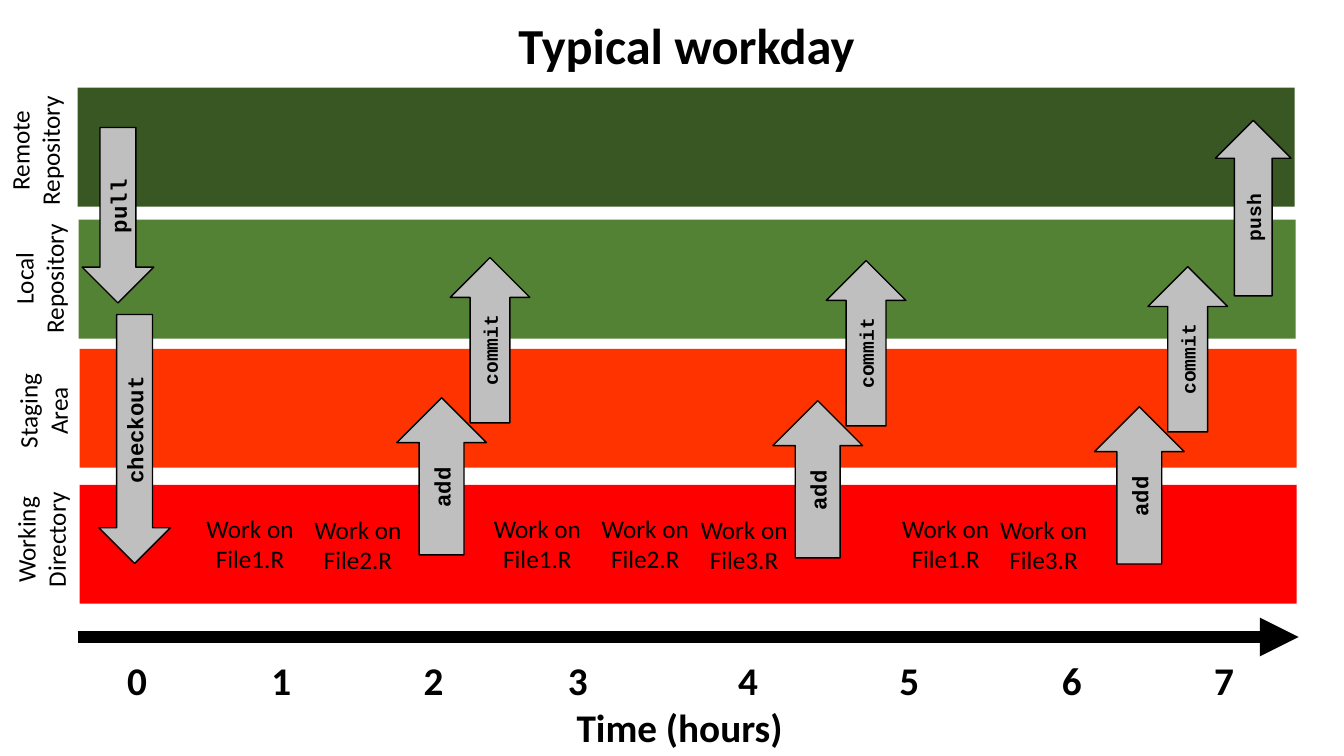
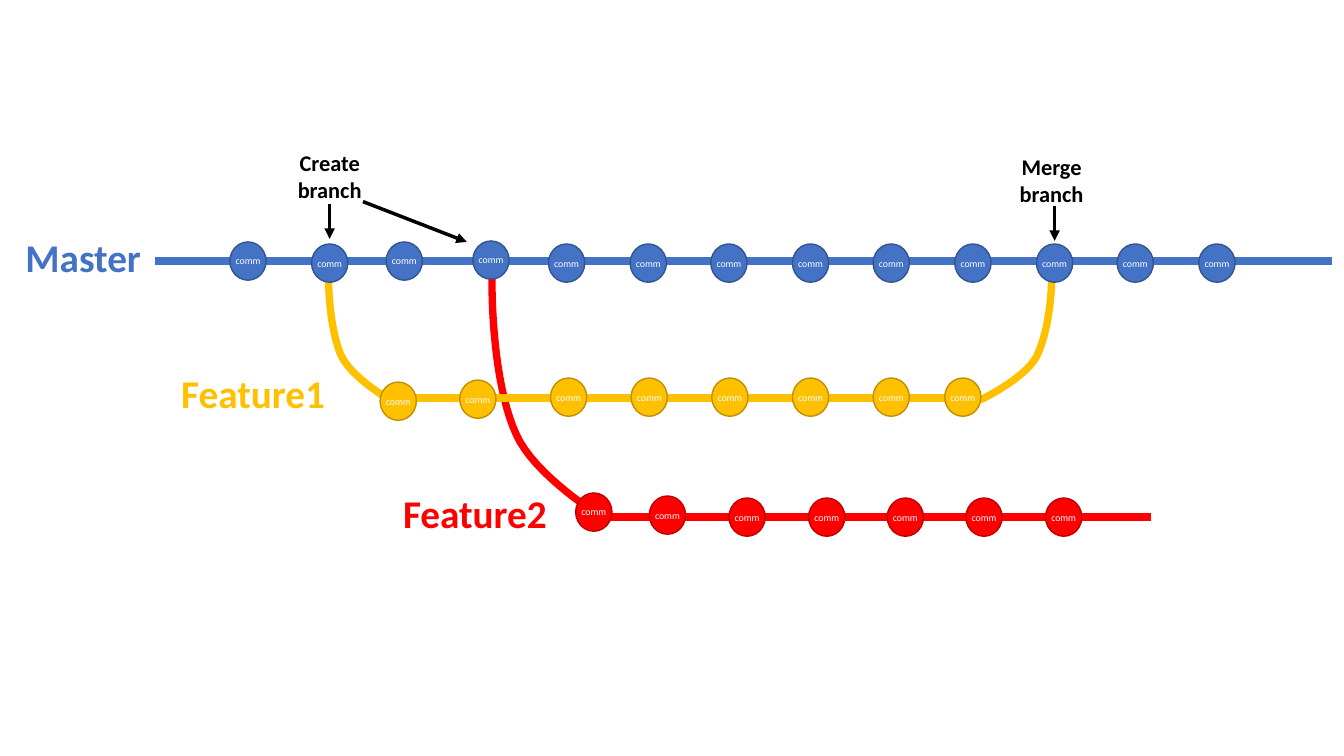
"""Draw a version-control workday and a branching history on two slides."""
from lxml import etree
from pptx import Presentation, util as u
from pptx.dml import color
from pptx.enum import shapes, text
from pptx.oxml import ns

EMU_PER_PX = 9144
BLACK, GREY, WHITE = "000000", "BFBFBF", "FFFFFF"
BLUE, YELLOW, RED = "4472C4", "FFC000", "FF0000"
BLUE_EDGE, YELLOW_EDGE, RED_EDGE = "325491", "BF9000", "C00000"


def px(length):
    return u.Emu(round(length * EMU_PER_PX))


def rgb(code):
    return color.RGBColor.from_string(code)


def set_values(target, values):
    for name, value in values.items():
        setattr(target, name, value)


class Deck:
    FONT, CODE_FONT = "Calibri", "Courier New"
    NO_MARGIN = dict.fromkeys(
        ("margin_left", "margin_top", "margin_right", "margin_bottom"), 0)

    def __init__(self, width, height):
        self.presentation = Presentation()
        set_values(self.presentation, {"slide_width": px(width), "slide_height": px(height)})
        self.slide = None

    def new_slide(self):
        self.slide = self.presentation.slides.add_slide(self.presentation.slide_layouts[6])

    def fill_text(self, shape, words, size, code=BLACK, font=FONT, bold=False, **frame_values):
        frame = shape.text_frame
        frame.text = words
        set_values(frame, {"word_wrap": True, **frame_values})
        for paragraph in frame.paragraphs:
            paragraph.alignment = text.PP_ALIGN.CENTER
            set_values(paragraph.font, {"name": font, "size": u.Pt(size), "bold": bold})
            paragraph.font.color.rgb = rgb(code)

    def label(self, words, box, size, code=BLACK, bold=True, rotation=0):
        shape = self.slide.shapes.add_textbox(*map(px, box))
        shape.rotation = rotation
        self.fill_text(shape, words, size, code, bold=bold)

    def shape(self, kind, box, fill, edge=None, rotation=0):
        shape = self.slide.shapes.add_shape(kind, *map(px, box))
        shape.rotation = rotation
        shape.shadow.inherit = False
        shape.fill.solid()
        shape.fill.fore_color.rgb = rgb(fill)
        if edge:
            self.outline(shape, edge, 1)
        else:
            shape.line.fill.background()
        return shape

    def outline(self, shape, code, width):
        shape.line.color.rgb = rgb(code)
        shape.line.width = u.Pt(width)

    def block_arrow(self, words, box, size=16, down=False):
        kinds = shapes.MSO_SHAPE
        kind = kinds.LEFT_ARROW if down else kinds.RIGHT_ARROW
        shape = self.shape(kind, box, GREY, BLACK, rotation=270)
        self.fill_text(shape, words, size, font=self.CODE_FONT, bold=True,
                       vertical_anchor=text.MSO_ANCHOR.MIDDLE)

    def commit(self, left, top, fill, edge):
        shape = self.shape(shapes.MSO_SHAPE.OVAL, (left, top, 36, 38), fill, edge)
        self.fill_text(shape, "comm", 7, WHITE, **self.NO_MARGIN, word_wrap=False,
                       vertical_anchor=text.MSO_ANCHOR.MIDDLE)

    def line(self, start, end, code, width, arrow=False):
        connector = self.slide.shapes.add_connector(
            shapes.MSO_CONNECTOR.STRAIGHT, *map(px, start + end))
        self.outline(connector, code, width)
        properties = connector.element.spPr
        if arrow:
            etree.SubElement(properties.find(ns.qn("a:ln")), ns.qn("a:tailEnd"), type="triangle")
        etree.SubElement(properties, ns.qn("a:effectLst"))

    def curve(self, points, code, steps=16):
        outline = []
        for first in range(0, len(points) - 1, 3):
            section = points[first:first + 4]
            for step in range(1, steps + 1):
                t = step / steps
                weights = ((1 - t) ** 3, 3 * t * (1 - t) ** 2, 3 * t * t * (1 - t), t ** 3)
                outline.append(tuple(
                    px(sum(weight * value for weight, value in zip(weights, values)))
                    for values in zip(*section)))
        builder = self.slide.shapes.build_freeform(*map(px, points[0]))
        builder.add_line_segments(outline, close=False)
        shape = builder.convert_to_shape()
        shape.shadow.inherit = False
        shape.fill.background()
        self.outline(shape, code, 5.25)


def draw_workday(deck):
    deck.new_slide()
    deck.label("Typical workday", (76, 9, 1210, 71), 36)
    areas = (
        ("Remote\nRepository", 77, 87, "385723", -44, 114),
        ("Local\nRepository", 78, 218, "548235", -40, 241),
        ("Staging\nArea", 79, 346, "FF3300", -36, 372),
        ("Working\nDirectory", 79, 481, RED, -38, 500),
    )
    for words, left, top, fill, label_left, label_top in areas:
        deck.shape(shapes.MSO_SHAPE.RECTANGLE, (left, top, 1207, 118), fill)
        deck.label(words, (label_left, label_top, 158, 71), 18, bold=False, rotation=270)

    deck.line((77, 632), (1288, 632), BLACK, 9.25, arrow=True)
    for hour, center in enumerate((136, 279, 430, 573, 742, 902, 1063, 1214)):
        deck.label(str(hour), (center - 30, 646, 60, 57), 28)
    deck.label("Time (hours)", (94, 693, 1160, 57), 28)

    deck.block_arrow("pull", (30, 178, 174, 71), down=True)
    deck.block_arrow("checkout", (10, 400, 247, 71), down=True)
    tasks = ((1, 187, 504), (2, 294, 505), (1, 472, 504), (2, 579, 504),
             (3, 677, 505), (1, 877, 504), (3, 974, 505))
    for number, left, top in tasks:
        deck.label(f"Work on\nFile{number}.R", (left, top, 122, 71), 18, bold=False)
    for left, top in ((360, 428), (733, 431), (1052, 437)):
        deck.block_arrow("add", (left, top, 156, 89))
        deck.block_arrow("commit", (left + 44, top - 130, 164, 79), size=14)
    deck.block_arrow("push", (1156, 169, 174, 75), size=14)


def draw_branches(deck):
    deck.new_slide()
    deck.curve(((1043, 266), (1044, 294), (1039, 332), (1028, 354),
                (1016, 376), (972, 397), (972, 397)), YELLOW)
    deck.curve(((488, 266), (487, 318), (493, 390), (512, 431),
                (530, 472), (597, 513), (597, 513)), RED)
    deck.curve(((326, 266), (325, 293), (329, 331), (338, 352),
                (348, 374), (384, 395), (384, 395)), YELLOW)

    branches = (
        ("Master", (9, 227, 147, 57), BLUE, BLUE_EDGE, (154, 1321, 259),
         [(228, 240), (309, 242), (383, 240), (469, 239)]
         + [(round(544 + 80.6 * i), 242) for i in range(9)]),
        ("Feature1", (160, 361, 182, 57), YELLOW, YELLOW_EDGE, (378, 957, 395),
         [(377, 379), (456, 377), (937, 375)] + [(546 + 80 * i, 375) for i in range(5)]),
        ("Feature2", (380, 481, 182, 57), RED, RED_EDGE, (577, 1142, 513),
         [(571, 489), (644, 492)] + [(round(723 + 78.5 * i), 494) for i in range(5)]),
    )
    for name, box, fill, edge, (start, end, level), commits in branches:
        deck.line((start, level), (end, level), fill, 5.25)
        for left, top in commits:
            deck.commit(left, top, fill, edge)
        deck.label(name, box, 28, fill)

    deck.label("Create branch", (282, 143, 90, 64), 16)
    deck.label("Merge branch", (998, 147, 90, 64), 16)
    pointers = (((327, 202), (327, 237)), ((360, 200), (463, 240)), ((1046, 204), (1046, 239)))
    for start, end in pointers:
        deck.line(start, end, BLACK, 2.5, arrow=True)


def main():
    deck = Deck(1333, 750)
    draw_workday(deck)
    draw_branches(deck)
    deck.presentation.save("out.pptx")


if __name__ == "__main__":
    main()
